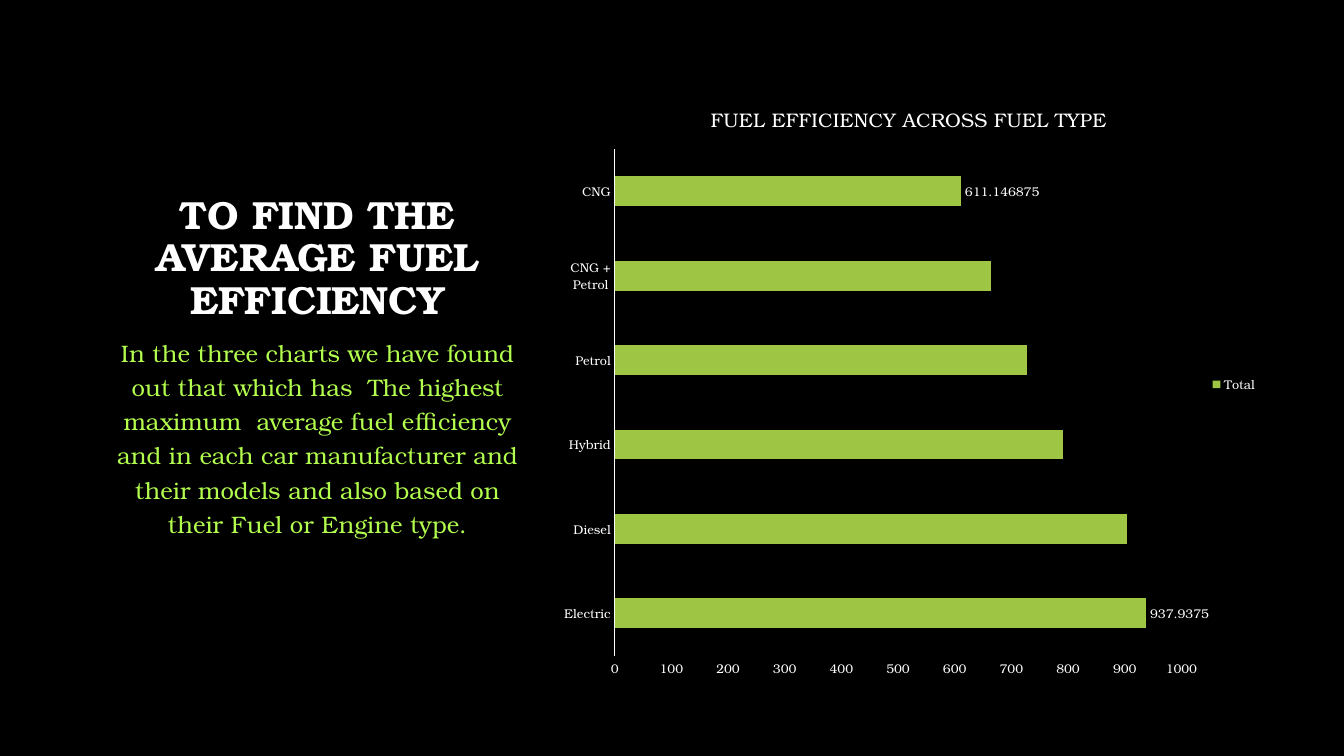
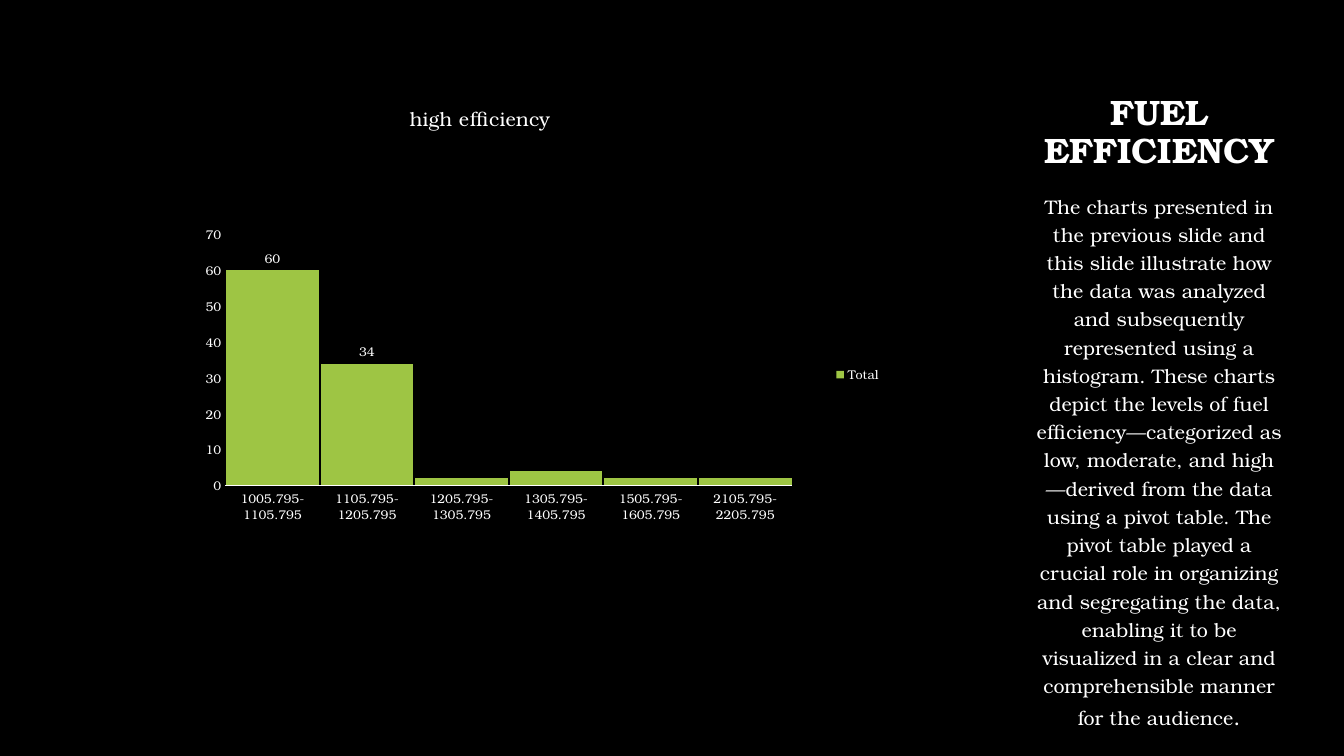
from lxml import etree
from pptx import Presentation
from pptx.chart.data import CategoryChartData
from pptx.dml.color import RGBColor
from pptx.enum.chart import XL_CHART_TYPE as ChartType
from pptx.enum.chart import XL_LABEL_POSITION as LabelPosition
from pptx.enum.chart import XL_LEGEND_POSITION as LegendPosition
from pptx.enum.chart import XL_TICK_MARK as TickMark
from pptx.enum.text import MSO_ANCHOR as Anchor
from pptx.enum.text import PP_ALIGN as Align
from pptx.oxml.ns import qn
from pptx.util import Inches, Pt

BLACK = RGBColor(0x00, 0x00, 0x00)
WHITE = RGBColor(0xFF, 0xFF, 0xFF)
LIME = RGBColor(0xB2, 0xFD, 0x4D)
GREEN = RGBColor(0x9E, 0xC5, 0x44)
FONT = "TeX Gyre Bonum"

SLIDE_W, SLIDE_H = Inches(13.33), Inches(7.5)
COLUMNS, ROWS = 160, 90
CHART_TOP = 9.85


def cells(left, top, width, height):
    column, row = SLIDE_W / COLUMNS, SLIDE_H / ROWS
    return [int(n) for n in (left * column, top * row, width * column, height * row)]


def style(font, size, color=WHITE, bold=False):
    font.name, font.size, font.bold = FONT, Pt(size), bold
    font.color.rgb = color


def add_text(slide, area, *runs, color=WHITE, bold=False, anchor=Anchor.TOP,
             spacing=1.2, before=10):
    frame = slide.shapes.add_textbox(*cells(*area)).text_frame
    frame.word_wrap = True
    frame.vertical_anchor = anchor
    paragraph = frame.paragraphs[0]
    paragraph.alignment = Align.CENTER
    paragraph.line_spacing = spacing
    paragraph.space_before = Pt(before)
    for words, size in runs:
        run = paragraph.add_run()
        run.text = words
        style(run.font, size, color, bold)


def add_title(slide, area, words, size):
    add_text(slide, area, (words, size), bold=True, anchor=Anchor.BOTTOM,
             spacing=0.9, before=0)


def place_plot(chart, shares):
    plot_area = chart._chartSpace.chart.plotArea
    for old in plot_area.findall(qn("c:layout")):
        plot_area.remove(old)
    layout = etree.Element(qn("c:layout"))
    manual = etree.SubElement(layout, qn("c:manualLayout"))
    settings = [("layoutTarget", "inner"), ("xMode", "edge"), ("yMode", "edge")]
    settings += zip("xywh", shares)
    for tag, value in settings:
        etree.SubElement(manual, qn(f"c:{tag}")).set("val", str(value))
    plot_area.insert(0, layout)


def format_axes(chart, maximum, step):
    for axis in (chart.category_axis, chart.value_axis):
        axis.has_major_gridlines = False
        axis.major_tick_mark = axis.minor_tick_mark = TickMark.NONE
        style(axis.tick_labels.font, 9)
    line = chart.category_axis.format.line
    line.color.rgb, line.width = WHITE, Pt(0.75)
    values = chart.value_axis
    values.format.line.fill.background()
    values.minimum_scale, values.maximum_scale = 0, maximum
    values.major_unit = step


def add_bars(slide, area, kind, heading, totals, labelled, maximum, step,
             gap, overlap, plot_shares):
    table = CategoryChartData()
    table.categories = list(totals)
    table.add_series("Total", list(totals.values()))
    chart = slide.shapes.add_chart(kind, *cells(*area), table).chart
    style(chart.font, 10)

    chart.has_title = True
    title = chart.chart_title
    title.include_in_layout = False
    title.text_frame.text = heading
    style(title.text_frame.paragraphs[0].runs[0].font, 14)

    chart.has_legend = True
    chart.legend.position = LegendPosition.RIGHT
    chart.legend.include_in_layout = False
    style(chart.legend.font, 9)

    format_axes(chart, maximum, step)
    bars = chart.plots[0]
    bars.gap_width, bars.overlap = gap, overlap
    bars.vary_by_categories = False
    series = bars.series[0]
    series.format.fill.solid()
    series.format.fill.fore_color.rgb = GREEN
    series.data_labels.show_value = False
    for index in labelled:
        label = series.points[index].data_label
        style(label.font, 9)
        label.position = LabelPosition.OUTSIDE_END
    place_plot(chart, plot_shares)


def build_average(slide):
    add_title(slide, (12, 8, 51.6, 31), "TO FIND THE AVERAGE FUEL EFFICIENCY", 28)
    add_bars(
        slide, (65.5, CHART_TOP, 85.4, 71.8), ChartType.BAR_CLUSTERED,
        "FUEL EFFICIENCY ACROSS FUEL TYPE",
        {"Electric": 937.9375, "Diesel": 903.8, "Hybrid": 791, "Petrol": 728.1,
         "CNG + Petrol": 663.3, "CNG": 611.146875},
        labelled=(0, 5), maximum=1000, step=100, gap=182, overlap=0,
        plot_shares=(0.09, 0.11, 0.79, 0.84))
    add_text(
        slide, (12, 39, 51.6, 37),
        ("In the three charts we have found out that which has  The highest "
         "maximum  average fuel efficiency and in each car manufacturer and "
         "their models and also based on their Fuel or Engine type.", 17),
        color=LIME)


def build_histogram(slide):
    add_title(slide, (122, 7.9, 32, 13.1), "FUEL EFFICIENCY", 25.2)
    add_text(
        slide, (122, 22, 32, 54),
        ("The charts presented in the previous slide and this slide illustrate "
         "how the data was analyzed and subsequently represented using a "
         "histogram. These charts depict the levels of fuel "
         "efficiency—categorized as low, moderate, and high—derived from the "
         "data using a pivot table. The pivot table played a crucial role in "
         "organizing and segregating the data, enabling it to be visualized in "
         "a clear and comprehensible manner for the audience", 14),
        (".", 16))
    bin_starts = (1005, 1105, 1205, 1305, 1505, 2105)
    counts = (60, 34, 2, 4, 2, 2)
    bins = {f"{start}.795-{start + 100}.795": count
            for start, count in zip(bin_starts, counts)}
    add_bars(
        slide, (8.2, CHART_TOP, 97.9, 69.5), ChartType.COLUMN_CLUSTERED,
        "high efficiency", bins, labelled=(0, 1), maximum=70, step=10,
        gap=2, overlap=-27, plot_shares=(0.19, 0.26, 0.69, 0.43))


def main():
    deck = Presentation()
    deck.slide_width, deck.slide_height = SLIDE_W, SLIDE_H
    backdrop = deck.slide_master.background.fill
    backdrop.solid()
    backdrop.fore_color.rgb = BLACK
    for build in (build_average, build_histogram):
        build(deck.slides.add_slide(deck.slide_layouts[6]))
    deck.save("out.pptx")


if __name__ == "__main__":
    main()
